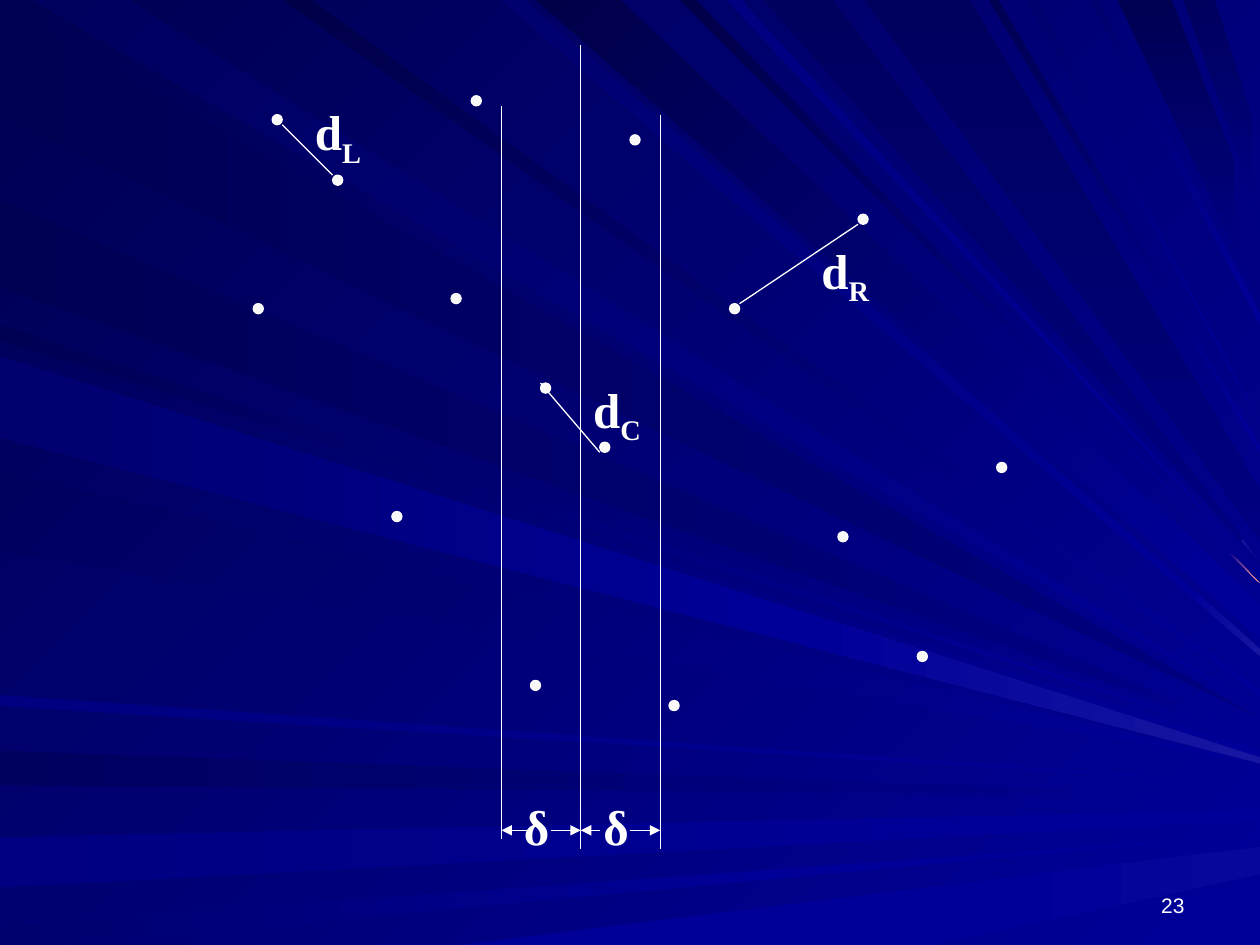
from dataclasses import dataclass
from typing import Optional

from pptx import Presentation
from pptx.dml.color import RGBColor
from pptx.dml.fill import FillFormat
from pptx.enum.shapes import MSO_CONNECTOR, MSO_SHAPE
from pptx.enum.text import MSO_ANCHOR, MSO_AUTO_SIZE, PP_ALIGN
from pptx.oxml.ns import qn
from pptx.slide import Slide
from pptx.util import Cm, Pt
from lxml import etree

STRAIGHT = MSO_CONNECTOR.STRAIGHT
OVAL = MSO_SHAPE.OVAL
BOTTOM, TOP = MSO_ANCHOR.BOTTOM, MSO_ANCHOR.TOP
FIT_SHAPE, NO_FIT = MSO_AUTO_SIZE.SHAPE_TO_FIT_TEXT, MSO_AUTO_SIZE.NONE
LEFT, RIGHT = PP_ALIGN.LEFT, PP_ALIGN.RIGHT

WHITE = RGBColor.from_string("FFFFFF")
DOT_FILL = RGBColor.from_string("F8F8F8")
BLUE = RGBColor.from_string("000099")
NAVY = RGBColor.from_string("000080")
SLATE = RGBColor.from_string("00006E")
DUSK = RGBColor.from_string("00005E")
NIGHT = RGBColor.from_string("000053")
BLACKISH = RGBColor.from_string("000048")
PINK = RGBColor.from_string("FF9999")
GLOW = RGBColor.from_string("1616A1")
FAINT_GLOW = RGBColor.from_string("07079B")

LEFTWARD, DIAGONAL, DOWNWARD = 180, 135, 270
PAGE_WIDTH, PAGE_HEIGHT = 10, 7.5
DOT_SIZE = 0.08
STRIP_MIDDLE, STRIP_HALF = 4.61, 0.63
STRIP_LEFT, STRIP_RIGHT = STRIP_MIDDLE - STRIP_HALF, STRIP_MIDDLE + STRIP_HALF
DELTA_Y = 6.59

Point = tuple[float, float]


@dataclass(frozen=True)
class Ray:
    near: float
    far: float
    tip: float
    start: RGBColor
    end: RGBColor
    angle: int = LEFTWARD
    spread: float = 0
    cut: float = PAGE_WIDTH
    tint: RGBColor = BLUE
    edge: Optional[float] = None


@dataclass(frozen=True)
class Segment:
    start: Point
    end: Point
    arrow: bool = False


@dataclass(frozen=True)
class Label:
    left: float
    top: float
    width: float
    height: float
    text: str
    subscript: str = ""
    size: int = 28
    font: str = "Times New Roman"
    bold: bool = True
    wrap: bool = True
    fit: MSO_AUTO_SIZE = FIT_SHAPE
    anchor: MSO_ANCHOR = TOP
    align: PP_ALIGN = LEFT


RAYS = [
    Ray(0.02, 0.93, 5.7, NAVY, NIGHT),
    Ray(1.01, 0.26, 5.63, BLUE, DUSK, DIAGONAL, edge=0),
    Ray(5.96, 6.23, 6.32, NAVY, DUSK, cut=7),
    Ray(6.65, 7.04, 6.43, BLUE, NAVY, spread=0.08, cut=8.3),
    Ray(7.35, 7.54, 6.62, BLUE, SLATE, cut=6.3),
    Ray(3.64, 7.42, 6.72, BLUE, BLUE, spread=0.22, cut=7.8, tint=FAINT_GLOW, edge=PAGE_HEIGHT),
    Ray(2.58, 2.7, 5.89, BLUE, NIGHT, DIAGONAL, cut=8.7),
    Ray(1.59, 2.28, 5.85, NAVY, NIGHT, cut=8.7),
    Ray(4.16, 3.98, 5.15, BLUE, SLATE, DIAGONAL, 0.06, 9.45, GLOW, 0),
    Ray(4.92, 4.26, 4.79, BLUE, BLACKISH, DIAGONAL, 0.28, 9.6, edge=0),
    Ray(5.52, 5.4, 4.63, BLUE, BLACKISH, DIAGONAL, cut=9.77, tint=PINK, edge=0),
    Ray(6.61, 6.06, 4.46, DUSK, NAVY, DOWNWARD, cut=9.86, tint=GLOW, edge=0),
    Ray(9.3, 8.87, 1.83, NIGHT, NAVY, DOWNWARD, 0.54, 9.8, NAVY, 0),
    Ray(9.64, 9.39, 1.14, DUSK, NAVY, DOWNWARD, 0.53, 9.94, NAVY, 0),
    Ray(2.78, 3.42, 5.96, BLUE, DUSK, DIAGONAL, 0.06),
    Ray(3.74, 4.37, 6.06, BLUE, DUSK, DIAGONAL),
    Ray(5.52, 5.6, 6.22, BLUE, NAVY),
    Ray(2.47, 2.25, 5.47, BLUE, BLACKISH, DIAGONAL, 0.05, edge=0),
    Ray(5.88, 5.77, 4.54, BLUE, NAVY, DIAGONAL, edge=0),
    Ray(7.7, 6.86, 3.9, DUSK, NAVY, DOWNWARD, 0.38, edge=0),
    Ray(7.92, 7.85, 3.54, BLUE, NIGHT, DIAGONAL, 0.06, edge=0),
    Ray(8.24, 8.15, 3.36, BLUE, SLATE, DIAGONAL, edge=0),
    Ray(8.72, 8.65, 2.49, BLUE, SLATE, DIAGONAL, 0.09, edge=0),
    Ray(2.83, 3.47, 6.01, BLUE, SLATE, spread=0.05, cut=6.35, tint=GLOW),
]

DOTS = [
    (2.16, 0.91), (2.01, 2.41), (2.64, 1.39), (6.81, 1.7), (3.74, 0.76), (3.11, 4.06),
    (3.58, 2.33), (5.79, 2.41), (4.21, 5.4), (4.29, 3.04), (5.31, 5.56), (4.76, 3.51),
    (7.91, 3.67), (5, 1.07), (6.65, 4.22), (7.28, 5.17),
]

SEGMENTS = [
    Segment((STRIP_MIDDLE, 0.36), (STRIP_MIDDLE, 6.74)),
    Segment((STRIP_LEFT, 0.84), (STRIP_LEFT, 6.66)),
    Segment((STRIP_RIGHT, 0.91), (STRIP_RIGHT, 6.74)),
    Segment((6.81, 1.78), (5.87, 2.41)),
    Segment((2.24, 0.99), (2.64, 1.39)),
    Segment((4.29, 3.04), (4.76, 3.59)),
] + [
    Segment((tail, DELTA_Y), (head, DELTA_Y), True)
    for tail, head in ((4.37, STRIP_MIDDLE), (4.21, STRIP_LEFT),
                       (5, STRIP_RIGHT), (4.76, STRIP_MIDDLE))
]

LABELS = [
    Label(2.4, 0.76, 0.79, 0.63, "d", "L"),
    Label(6.42, 1.86, 0.79, 0.63, "d", "R"),
    Label(4.61, 2.96, 0.71, 0.63, "d", "C"),
    Label(4.06, 6.27, 0.4, 0.57, "δ", wrap=False),
    Label(4.69, 6.27, 0.4, 0.57, "δ", wrap=False),
    Label(7.17, 6.83, 2.33, 0.5, "23", size=12, font="Arial", bold=False,
          fit=NO_FIT, anchor=BOTTOM, align=RIGHT),
]


def inches(value: float) -> Cm:
    return Cm(value * 2.54)


def paint(fill: FillFormat, start: RGBColor, end: RGBColor, angle: int) -> None:
    if start == end:
        fill.solid()
        fill.fore_color.rgb = start
        return
    fill.gradient()
    fill.gradient_angle = angle
    for stop, color in zip(fill.gradient_stops, (start, end)):
        stop.color.rgb = color


def point_at(x: float, base: Point, tip: Point) -> Point:
    share = (x - base[0]) / (tip[0] - base[0])
    return x, base[1] + share * (tip[1] - base[1])


def draw_area(page: Slide, outline: list[Point], start: RGBColor, end: RGBColor, angle: int) -> None:
    corners = [(inches(x), inches(y)) for x, y in outline]
    builder = page.shapes.build_freeform(*corners[0])
    builder.add_line_segments(corners[1:], close=True)
    shape = builder.convert_to_shape()
    shape.shadow.inherit = False
    paint(shape.fill, start, end, angle)
    shape.line.fill.background()


def draw_ray(page: Slide, ray: Ray) -> None:
    bases = [(0, place) if ray.edge is None else (place, ray.edge) for place in (ray.near, ray.far)]
    tips = [(PAGE_WIDTH, ray.tip), (PAGE_WIDTH, ray.tip + ray.spread)]
    joints = [point_at(ray.cut, base, tip) for base, tip in zip(bases, tips)]
    draw_area(page, bases + joints[::-1], ray.start, ray.end, ray.angle)
    if ray.cut < PAGE_WIDTH:
        joining = ray.end if ray.angle == DOWNWARD else ray.start
        draw_area(page, joints + tips[::-1], ray.tint, joining, ray.angle)


def draw_dot(page: Slide, left: float, top: float) -> None:
    dot = page.shapes.add_shape(OVAL, inches(left), inches(top), inches(DOT_SIZE), inches(DOT_SIZE))
    dot.shadow.inherit = False
    paint(dot.fill, DOT_FILL, DOT_FILL, LEFTWARD)
    dot.line.color.rgb = WHITE
    dot.line.width = Pt(0.75)


def draw_segment(page: Slide, segment: Segment) -> None:
    ends = [inches(value) for value in segment.start + segment.end]
    connector = page.shapes.add_connector(STRAIGHT, *ends)
    connector.line.color.rgb = WHITE
    connector.line.width = Pt(0.75)
    properties = connector.element.spPr
    if segment.arrow:
        etree.SubElement(properties.find(qn("a:ln")), qn("a:tailEnd"), type="triangle")
    etree.SubElement(properties, qn("a:effectLst"))


def draw_label(page: Slide, label: Label) -> None:
    box = page.shapes.add_textbox(
        inches(label.left), inches(label.top), inches(label.width), inches(label.height))
    frame = box.text_frame
    frame.word_wrap = label.wrap
    frame.auto_size = label.fit
    frame.vertical_anchor = label.anchor
    para = frame.paragraphs[0]
    para.alignment = label.align
    for text, baseline in ((label.text, "0"), (label.subscript, "-25000")):
        if text:
            span = para.add_run()
            span.text = text
            span.font.name = label.font
            span.font.size = Pt(label.size)
            span.font.bold = label.bold
            span.font.color.rgb = WHITE
            span.font._element.set("baseline", baseline)


def main() -> None:
    deck = Presentation()
    deck.slide_width, deck.slide_height = inches(PAGE_WIDTH), inches(PAGE_HEIGHT)
    page = deck.slides.add_slide(deck.slide_layouts[6])
    paint(page.background.fill, BLUE, NIGHT, DIAGONAL)
    for ray in RAYS:
        draw_ray(page, ray)
    for left, top in DOTS:
        draw_dot(page, left, top)
    for segment in SEGMENTS:
        draw_segment(page, segment)
    for label in LABELS:
        draw_label(page, label)
    deck.save("out.pptx")


if __name__ == "__main__":
    main()
